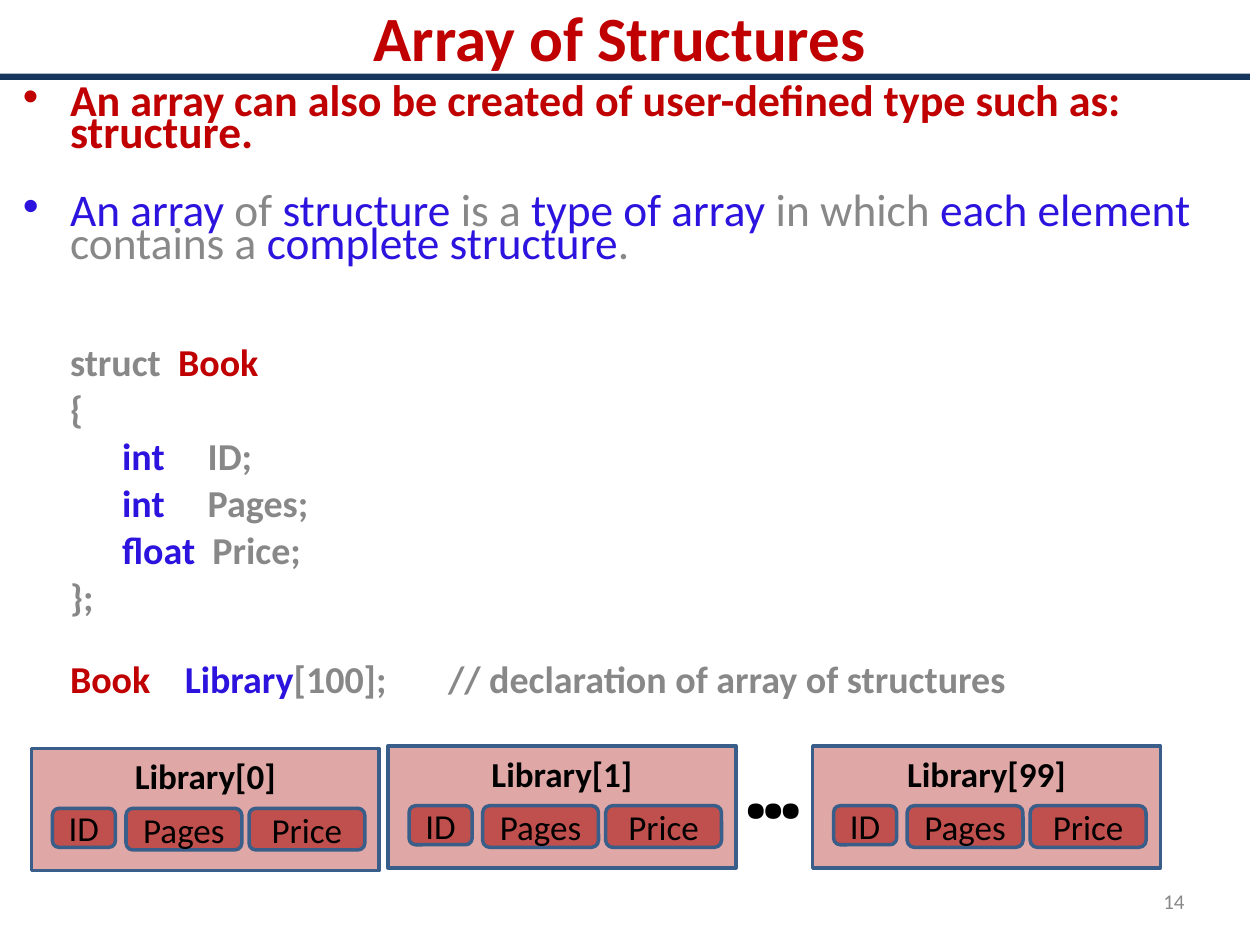
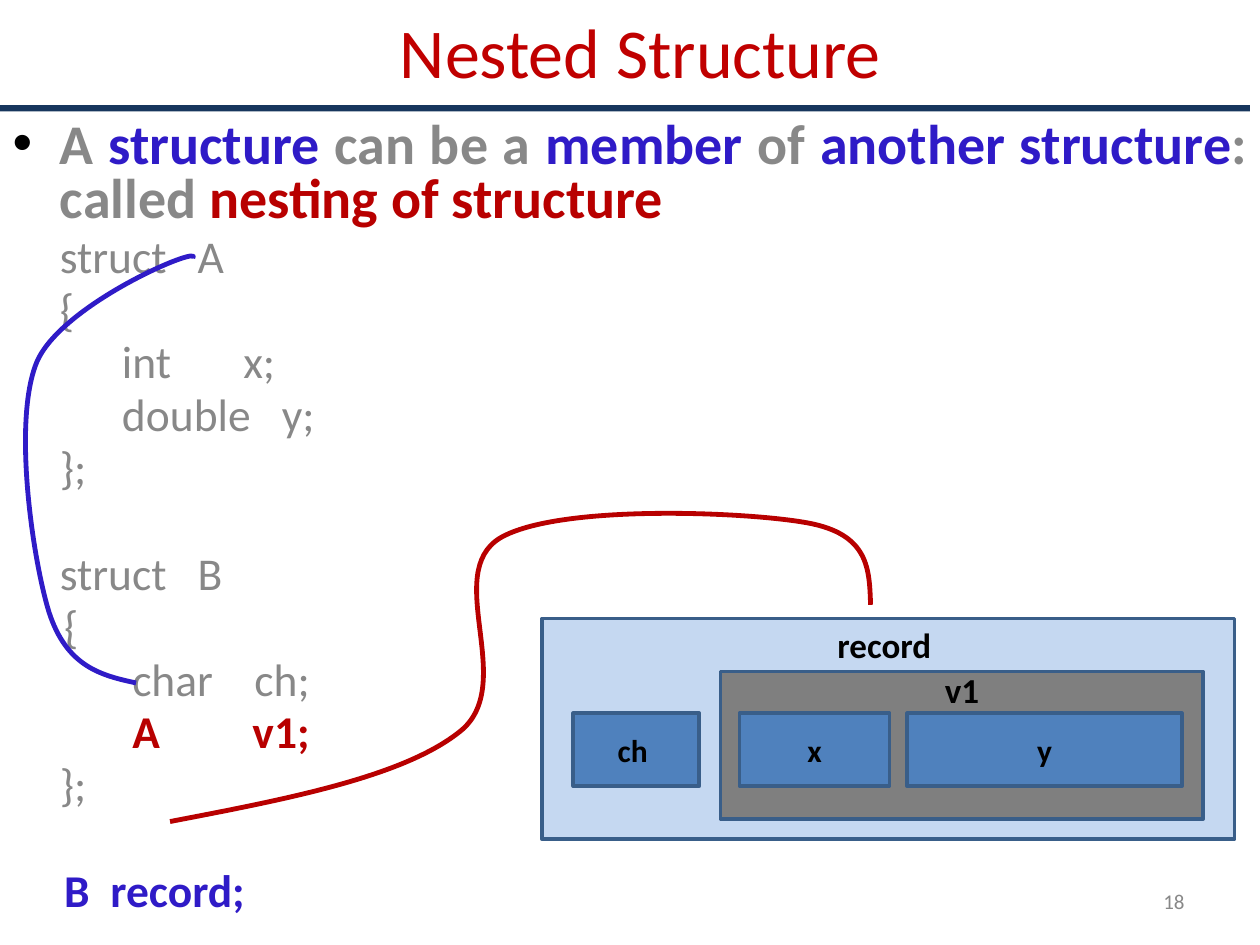
"""Build two slides on arrays of structures and nested structures."""
import pptx
import pptx.dml.color
import pptx.enum.shapes
import pptx.enum.text
import pptx.util
from pptx.oxml.ns import qn
from lxml import etree

Pt = pptx.util.Pt
ALIGN = pptx.enum.text.PP_ALIGN
ANCHOR = pptx.enum.text.MSO_ANCHOR
SHAPE = pptx.enum.shapes.MSO_SHAPE

COLORS = {
    "red": "C00000", "gray": "888888", "blue": "2C14DE", "black": "000000",
    "indigo": "2F1BC7", "crimson": "B80000", "bar": "17365D", "edge": "395E89",
    "brick": "C0504D", "pale": "C5D8F1", "slate": "7F7F7F", "steel": "4F81BD",
}
INDENT = 27
SPACE_EM = 0.226

ARRAY_SLIDE = {
    "title": "Array of Structures", "title_box": (48.2, 0, 612, 41.8),
    "title_font": {"size": Pt(36), "bold": True},
    "bar_top": 42, "body_box": (5.8, 48.2, 714.2, 372.2), "number": "14",
    "bullets": [
        {"runs": [("An array can also be created of user-defined type such as: ", "red"),
                  ("structure.", "red", 25.9)],
         "size": 25.2, "bold": True, "bullet": "red", "spacing": 0.6},
        {"runs": [("An array ", "blue"), ("of ", "gray"), ("structure", "blue"),
                  (" is a ", "gray"), ("type of array", "blue"), (" in which ", "gray"),
                  ("each element", "blue"), (" contains a ", "gray"),
                  ("complete structure", "blue"), (".", "gray")],
         "size": 25.9, "bullet": "blue", "spacing": 0.6, "before": 25.9},
    ],
    "code_format": {"size": 21.7, "bold": True, "before": 6},
    "code": [
        {"runs": [("struct", "gray"), 2, ("Book", "red")], "before": 46.8},
        {"runs": [("{", "gray")]},
        {"runs": [("int", "blue"), 5, ("ID;", "gray")], "left": 56.8},
        {"runs": [("int", "blue"), 5, ("Pages;", "gray")], "left": 56.8},
        {"runs": [("float", "blue"), 2, ("Price;", "gray")], "left": 56.8},
        {"runs": [("};", "gray")]},
        {"runs": [("Book", "red"), 4, ("Library", "blue"),
                  ("[100];\t// declaration of array of structures", "gray")],
         "before": 26.2},
    ],
}

NESTED_SLIDE = {
    "title": "Nested Structure", "title_box": (60, 3.6, 612, 50.4),
    "title_font": {"size": Pt(40), "bold": False},
    "bar_top": 60, "body_box": (0, 66, 720, 474), "number": "18",
    "bullets": [
        {"runs": [("A ", "gray"), ("structure", "indigo"), (" can be a ", "gray"),
                  ("member", "indigo"), (" of ", "gray"), ("another structure", "indigo"),
                  (": called ", "gray"), ("nesting of structure", "crimson")],
         "size": 32, "bold": True, "bullet": "black", "align": ALIGN.JUSTIFY},
    ],
    "code_format": {"size": 26, "before": 5.2},
    "code": [
        {"runs": [("struct", "gray"), 3, ("A", "gray")]},
        {"runs": [("{", "gray")]},
        {"runs": [("int", "gray"), 7, ("x;", "gray")], "left": 62.5},
        {"runs": [("double", "gray"), 3, ("y;", "gray")], "left": 62.5},
        {"runs": [("};", "gray")]},
        {"runs": [("struct", "gray"), 3, ("B", "gray")], "before": 35.8},
        {"runs": [("{", "gray")], "left": 29.5},
        {"runs": [("char", "gray"), 4, ("ch;", "gray")], "left": 68.4},
        {"runs": [("A", "crimson"), 9, ("v1;", "crimson")], "left": 68.4, "bold": True},
        {"runs": [("};", "gray")]},
        {"runs": [("B", "indigo"), 2, ("record;", "indigo")], "left": 29.5,
         "bold": True, "before": 35.8},
    ],
}

LIBRARY = [("Library[0]", 18, 427.7), ("Library[1]", 221.8, 426.2), ("Library[99]", 464.4, 426.2)]
FIELDS = [("ID", 12, 36, 22.3), ("Pages", 54, 66.2, 23.8), ("Price", 124.3, 66.2, 23.8)]
RECORD = [
    ("record ", (309.6, 353.5, 396, 126), "pale", 20, 2.5),
    ("v1", (411.8, 383.8, 275.8, 84.2), "slate", 20, -1.8),
    ("x", (422.6, 407.5, 85.7, 41.8), "steel", 18, None),
    ("ch ", (327.6, 407.5, 72, 41.8), "steel", 18, None),
    ("y", (518.4, 407.5, 157, 41.8), "steel", 18, None),
]
CURVES = [
    ("indigo", [(1.08, 5.42), (0.8, 5.36), (0.53, 5.29), (0.39, 4.86), (0.26, 4.44),
                (0.1, 3.35), (0.29, 2.88), (0.48, 2.41), (1.63, 1.93), (1.53, 2.05)]),
    ("crimson", [(1.35, 6.52), (2.29, 6.34), (3.23, 6.16), (3.67, 5.79), (4.1, 5.41),
                 (3.51, 4.55), (3.97, 4.27), (4.43, 4), (5.92, 4.06), (6.41, 4.15),
                 (6.9, 4.24), (6.9, 4.52), (6.91, 4.8)]),
]


def rgb(color):
    return pptx.dml.color.RGBColor.from_string(COLORS[color])


def apply(obj, formats):
    for name, value in formats.items():
        setattr(obj, name, value)


def place(sp, box):
    apply(sp, dict(zip(("left", "top", "width", "height"), map(Pt, box))))


def add_run(p, text, color, size, bold=False):
    r = p.add_run()
    r.text = text
    apply(r.font, {"name": "Calibri", "size": Pt(size), "bold": bold})
    r.font.color.rgb = rgb(color)
    return r


def add_gap(p, spaces, size, bold):
    r = add_run(p, " ", "gray", size, bold)
    r.font._element.set("spc", str(round((spaces - 1) * SPACE_EM * size * 100)))


def add_paragraph(p, runs, size, bold=False, bullet=None, spacing=0.8, before=0,
                  left=INDENT, align=ALIGN.LEFT):
    apply(p, {"line_spacing": spacing, "space_before": Pt(before), "alignment": align})
    pPr = p._p.get_or_add_pPr()
    pPr.set("marL", str(Pt(left)))
    pPr.set("indent", str(-Pt(left) if bullet else 0))
    if bullet:
        clr = etree.SubElement(pPr, qn("a:buClr"))
        etree.SubElement(clr, qn("a:srgbClr"), val=COLORS[bullet])
        etree.SubElement(pPr, qn("a:buFont"), typeface="Arial")
        etree.SubElement(pPr, qn("a:buChar"), char="•")
    else:
        etree.SubElement(pPr, qn("a:buNone"))
    for run in runs:
        if isinstance(run, int):
            add_gap(p, run, size, bold)
        else:
            text, color, *own_size = run
            add_run(p, text, color, own_size[0] if own_size else size, bold)


def add_box(shapes, kind, box, fill, text="", size=20, bold=False, top=None, alpha=None):
    sp = shapes.add_shape(kind, *map(Pt, box))
    sp.shadow.inherit = False
    sp.fill.solid()
    sp.fill.fore_color.rgb = rgb(fill)
    if alpha:
        clr = sp.fill._xPr.find(qn("a:solidFill"))[0]
        etree.SubElement(clr, qn("a:alpha"), val=str(alpha * 1000))
    if not text:
        sp.line.fill.background()
        return
    sp.line.color.rgb = rgb("edge")
    sp.line.width = Pt(2)
    tf = sp.text_frame
    tf.vertical_anchor = ANCHOR.MIDDLE if top is None else ANCHOR.TOP
    if top is not None:
        tf.margin_top = Pt(top)
    p = tf.paragraphs[0]
    p.alignment = ALIGN.CENTER
    add_run(p, text, "black", size, bold)


def add_slide(prs, data):
    s = prs.slides.add_slide(prs.slide_layouts[1])
    title, body = s.placeholders
    place(title, data["title_box"])
    tf = title.text_frame
    apply(tf, {"auto_size": pptx.enum.text.MSO_AUTO_SIZE.NONE, "vertical_anchor": ANCHOR.MIDDLE})
    p = tf.paragraphs[0]
    p.alignment = ALIGN.CENTER
    apply(add_run(p, data["title"], "red", 36).font, data["title_font"])

    place(body, data["body_box"])
    tf = body.text_frame
    tf.auto_size = pptx.enum.text.MSO_AUTO_SIZE.NONE
    lines = data["bullets"] + [{**data["code_format"], **line} for line in data["code"]]
    for i, line in enumerate(lines):
        add_paragraph(tf.add_paragraph() if i else tf.paragraphs[0], **line)

    add_box(s.shapes, SHAPE.RECTANGLE, (0, data["bar_top"], 714.2, 3.6), "bar")
    number = s.shapes.add_textbox(*map(Pt, (516, 500.4, 168, 28.8)))
    number.text_frame.vertical_anchor = ANCHOR.MIDDLE
    p = number.text_frame.paragraphs[0]
    p.alignment = ALIGN.RIGHT
    add_run(p, data["number"], "gray", 12)
    return s


def add_library(s):
    for name, left, top in LIBRARY:
        shapes = s.shapes.add_group_shape().shapes
        add_box(shapes, SHAPE.RECTANGLE, (left, top, 198.7, 69.8), "brick", name,
                bold=True, top=3.6, alpha=50)
        for field, dx, width, height in FIELDS:
            add_box(shapes, SHAPE.ROUNDED_RECTANGLE, (left + dx, top + 34.2, width, height),
                    "brick", field)
    dots = s.shapes.add_textbox(*map(Pt, (419.8, 414, 44.6, 67.7)))
    r = add_run(dots.text_frame.paragraphs[0], "…", "black", 50, True)
    r.font.name = "Noto Sans Mono"


def add_curve(s, color, points):
    start, *rest = [(Pt(72 * x), Pt(72 * y)) for x, y in points]
    builder = s.shapes.build_freeform(*start)
    builder.add_line_segments(rest, close=False)
    sp = builder.convert_to_shape()
    outline = next(sp._element.iter(qn("a:path")))
    segments = outline.findall(qn("a:lnTo"))
    for i in range(0, len(segments), 3):
        bend = etree.SubElement(outline, qn("a:cubicBezTo"))
        for segment in segments[i:i + 3]:
            bend.append(segment[0])
            outline.remove(segment)
    sp.shadow.inherit = False
    sp.fill.background()
    sp.line.color.rgb = rgb(color)
    sp.line.width = Pt(2.75)


def main():
    prs = pptx.Presentation()
    apply(prs, {"slide_width": Pt(720), "slide_height": Pt(540)})
    add_library(add_slide(prs, ARRAY_SLIDE))
    s = add_slide(prs, NESTED_SLIDE)
    for text, box, fill, size, top in RECORD:
        add_box(s.shapes, SHAPE.RECTANGLE, box, fill, text, size, True, top)
    for color, points in CURVES:
        add_curve(s, color, points)
    prs.save("out.pptx")


if __name__ == "__main__":
    main()
